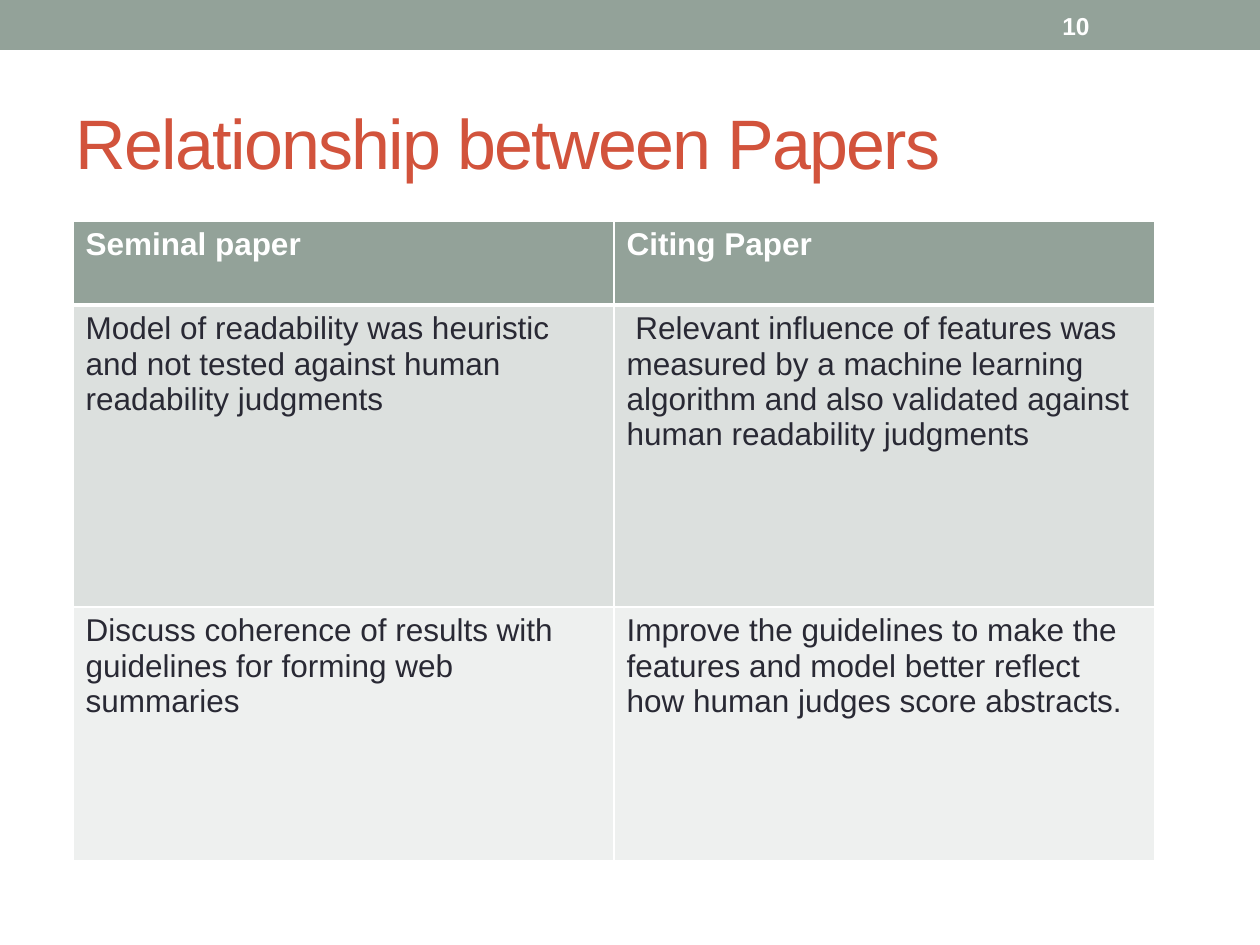
from dataclasses import dataclass

from lxml import etree
from pptx import Presentation
from pptx.dml.color import RGBColor
from pptx.enum.shapes import MSO_SHAPE
from pptx.enum.text import MSO_ANCHOR, PP_ALIGN
from pptx.oxml.ns import qn
from pptx.util import Emu, Pt

RECTANGLE = MSO_SHAPE.RECTANGLE
MIDDLE = MSO_ANCHOR.MIDDLE
LEFT = PP_ALIGN.LEFT
TITLE_ONLY = 5
EMU_PER_PX = 914400 // 126


@dataclass(frozen=True)
class Theme:
    """Colours, font and type sizes of the slide."""
    font: str = "Arial"
    sage: str = "93A299"
    brick: str = "D2533C"
    ink: str = "292934"
    white: str = "FFFFFF"
    bands: tuple = ("DCE0DE", "EEF0EF")
    title_size: int = 40
    table_size: int = 18
    number_size: int = 14


THEME = Theme()
COLUMN_WIDTH = 541
ROW_HEIGHTS = (84, 302, 254)
ROWS = (
    ("Seminal paper", "Citing Paper"),
    ("Model of readability was heuristic and not tested against human "
     "readability judgments",
     " Relevant influence of features was measured by a machine learning "
     "algorithm and also validated against human readability judgments"),
    ("Discuss coherence of results with guidelines for forming web summaries",
     "Improve the guidelines to make the features and model better reflect "
     "how human judges score abstracts."),
)


def px(length):
    """Turn whole pixels into EMU."""
    return Emu(length * EMU_PER_PX)


def paint(item, color):
    """Give a shape or cell a solid fill."""
    item.fill.solid()
    item.fill.fore_color.rgb = RGBColor.from_string(color)


def write(frame, text, size, color, bold=False):
    """Set left-aligned text and format its runs."""
    frame.text = text
    frame.word_wrap = True
    for para in frame.paragraphs:
        para.alignment = LEFT
        for span in para.runs:
            span.font.name = THEME.font
            span.font.size = Pt(size)
            span.font.bold = bold
            span.font.color.rgb = RGBColor.from_string(color)


def add_band(page):
    """Draw the band across the top."""
    band = page.shapes.add_shape(RECTANGLE, 0, 0, px(1260), px(50))
    band.shadow.inherit = False
    paint(band, THEME.sage)
    band.line.fill.background()


def set_title(page, text):
    """Place and format the title placeholder."""
    title = page.shapes.title
    title.left, title.top = px(63), px(73)
    title.width, title.height = px(1134), px(136)
    write(title.text_frame, text, THEME.title_size, THEME.brick)
    title.text_frame.vertical_anchor = MIDDLE
    for span in title.text_frame.paragraphs[0].runs:
        span.font._element.set("spc", "-100")


def add_page_number(page, number):
    """Write the page number on the band."""
    box = page.shapes.add_textbox(px(1050), px(3), px(147), px(45))
    write(box.text_frame, number, THEME.number_size, THEME.white, True)
    box.text_frame.vertical_anchor = MIDDLE


def set_borders(cell, bottom, top):
    """Draw white borders ahead of the cell's fill."""
    properties = cell._tc.get_or_add_tcPr()
    widths = {"a:lnL": 1, "a:lnR": 1, "a:lnT": top, "a:lnB": bottom}
    for index, (tag, width) in enumerate(widths.items()):
        line = etree.Element(qn(tag), w=str(Pt(width)))
        fill = etree.SubElement(line, qn("a:solidFill"))
        etree.SubElement(fill, qn("a:srgbClr"), val=THEME.white)
        properties.insert(index, line)


def add_comparison(page):
    """Build the table that compares the two papers."""
    columns = len(ROWS[0])
    table = page.shapes.add_table(
        len(ROWS), columns, px(73), px(221),
        px(COLUMN_WIDTH * columns), px(sum(ROW_HEIGHTS))).table
    for column in table.columns:
        column.width = px(COLUMN_WIDTH)
    for r, texts in enumerate(ROWS):
        table.rows[r].height = px(ROW_HEIGHTS[r])
        header = r == 0
        for c, text in enumerate(texts):
            cell = table.cell(r, c)
            write(cell.text_frame, text, THEME.table_size,
                  THEME.white if header else THEME.ink, header)
            paint(cell, THEME.sage if header else THEME.bands[r - 1])
            set_borders(cell, 3 if header else 1, 3 if r == 1 else 1)


def main():
    """Build and save the slide."""
    deck = Presentation()
    deck.slide_width, deck.slide_height = px(1260), px(945)
    page = deck.slides.add_slide(deck.slide_layouts[TITLE_ONLY])
    add_band(page)
    set_title(page, "Relationship between Papers")
    add_page_number(page, "10")
    add_comparison(page)
    deck.save("out.pptx")


if __name__ == "__main__":
    main()
